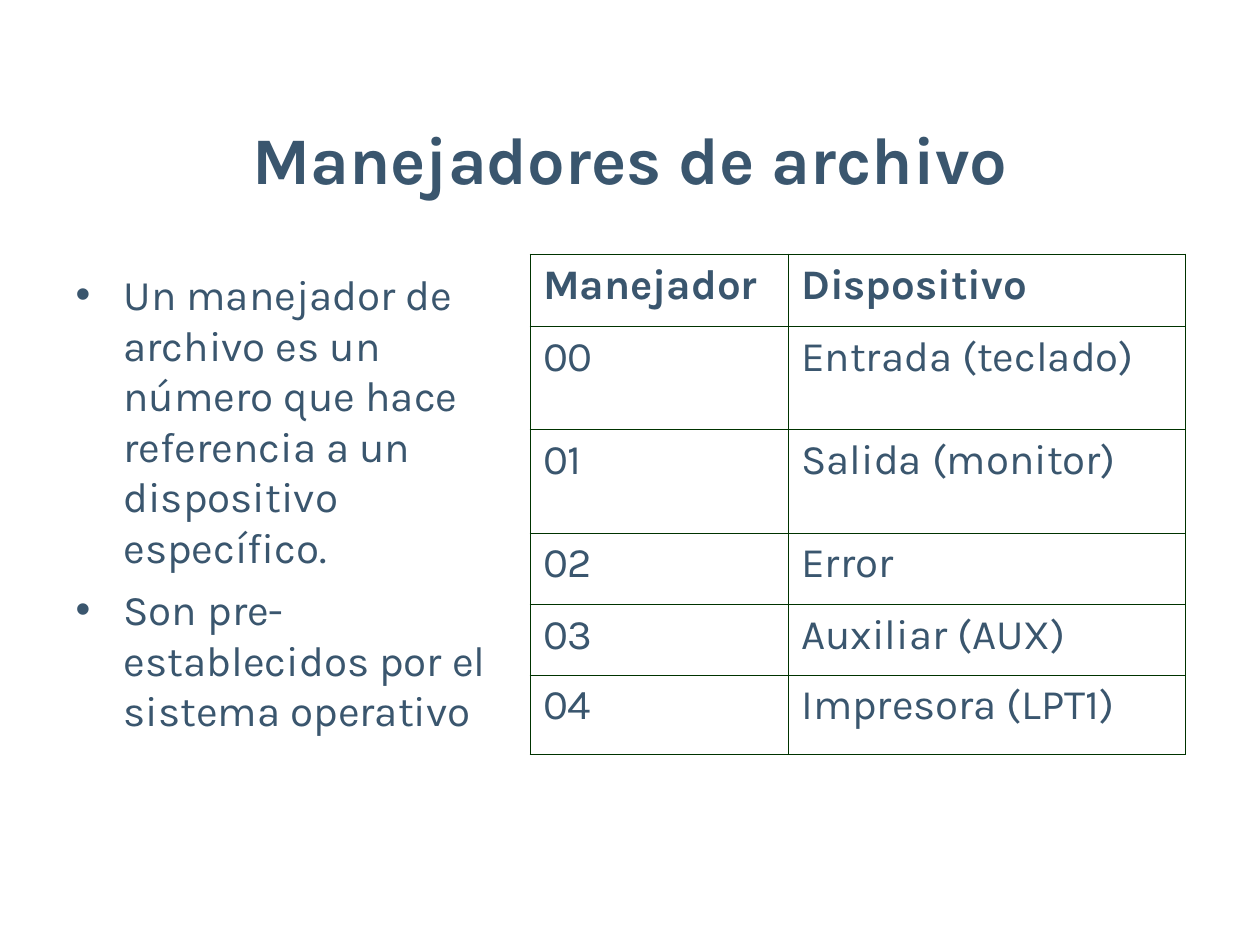
from dataclasses import dataclass

from lxml import etree
from pptx import Presentation
from pptx.dml.color import RGBColor
from pptx.enum.text import MSO_ANCHOR, MSO_AUTO_SIZE, PP_ALIGN
from pptx.oxml.ns import qn
from pptx.util import Inches, Pt

CENTER, LEFT = PP_ALIGN.CENTER, PP_ALIGN.LEFT
TOP, MIDDLE = MSO_ANCHOR.TOP, MSO_ANCHOR.MIDDLE
NO_AUTOFIT = MSO_AUTO_SIZE.NONE


@dataclass(frozen=True)
class Theme:
    font: str = "Karla"
    text: str = "3A566E"
    border: str = "003300"
    title_size: float = 38
    body_size: float = 24.1
    table_size: float = 24
    outer_line: float = 1.08
    inner_line: float = 0.45


theme = Theme()


def format_paragraph(paragraph, size, bold=False, align=LEFT):
    paragraph.alignment = align
    paragraph.line_spacing = 1.0
    paragraph.space_before = Pt(0)
    for run in paragraph.runs:
        run.font.name = theme.font
        run.font.size = Pt(size)
        run.font.bold = bold
        run.font.color.rgb = RGBColor.from_string(theme.text)


def add_border(cell, side, width):
    properties = cell._tc.get_or_add_tcPr()
    line = etree.SubElement(properties, qn(f"a:ln{side}"), w=str(Pt(width)))
    fill = etree.SubElement(line, qn("a:solidFill"))
    etree.SubElement(fill, qn("a:srgbClr"), val=theme.border)


presentation = Presentation()
presentation.slide_width = Inches(10)
presentation.slide_height = Inches(7.5)
slide = presentation.slides.add_slide(presentation.slide_layouts[1])

# Title
title = slide.shapes.title
title.left, title.top = Inches(0.5), Inches(0.63)
title.width, title.height = Inches(9), Inches(1.25)
title.text_frame.text = "Manejadores de archivo"
title.text_frame.auto_size = NO_AUTOFIT
title.text_frame.vertical_anchor = MIDDLE
format_paragraph(title.text_frame.paragraphs[0], theme.title_size, True, CENTER)

# Bullet list
body = slide.placeholders[1]
body.left, body.top = Inches(0.5), Inches(2.08)
body.width, body.height = Inches(3.63), Inches(4.25)
body.text_frame.text = "\n".join([
    "Un manejador de archivo es un número que hace referencia a un dispositivo específico.",
    "Son pre-establecidos por el sistema operativo",
])
body.text_frame.auto_size = NO_AUTOFIT
body.text_frame.vertical_anchor = TOP
for index, paragraph in enumerate(body.text_frame.paragraphs):
    properties = paragraph._p.get_or_add_pPr()
    properties.set("marL", str(Inches(0.38)))
    properties.set("indent", str(-Inches(0.38)))
    bullet_color = etree.SubElement(properties, qn("a:buClr"))
    etree.SubElement(bullet_color, qn("a:srgbClr"), val=theme.text)
    etree.SubElement(properties, qn("a:buFont"), typeface="Arial")
    etree.SubElement(properties, qn("a:buChar"), char="•")
    format_paragraph(paragraph, theme.body_size)
    if index:
        paragraph.space_before = Pt(6.5)

# Table of handles
rows = [
    ("Manejador", "Dispositivo"),
    ("00", "Entrada (teclado)"),
    ("01", "Salida (monitor)"),
    ("02", "Error"),
    ("03", "Auxiliar (AUX)"),
    ("04", "Impresora (LPT1)"),
]
column_widths = [2.05, 3.15]
row_heights = [0.57, 0.82, 0.82, 0.57, 0.56, 0.63]
table = slide.shapes.add_table(
    len(rows), len(column_widths), Inches(4.21), Inches(2.02),
    Inches(sum(column_widths)), Inches(sum(row_heights)),
).table
table.horz_banding = False
for column, width in zip(table.columns, column_widths):
    column.width = Inches(width)
for row, height in zip(table.rows, row_heights):
    row.height = Inches(height)

last_row, last_column = len(rows) - 1, len(column_widths) - 1
for row_index, values in enumerate(rows):
    for column_index, value in enumerate(values):
        cell = table.cell(row_index, column_index)
        cell.text_frame.text = value
        cell.vertical_anchor = TOP
        format_paragraph(cell.text_frame.paragraphs[0], theme.table_size, row_index == 0)
        # The frame is heavier than the inner grid
        on_frame = {
            "L": column_index == 0,
            "R": column_index == last_column,
            "T": row_index == 0,
            "B": row_index == last_row,
        }
        for side, is_outer in on_frame.items():
            add_border(cell, side, theme.outer_line if is_outer else theme.inner_line)
        cell.fill.background()

presentation.save("out.pptx")
